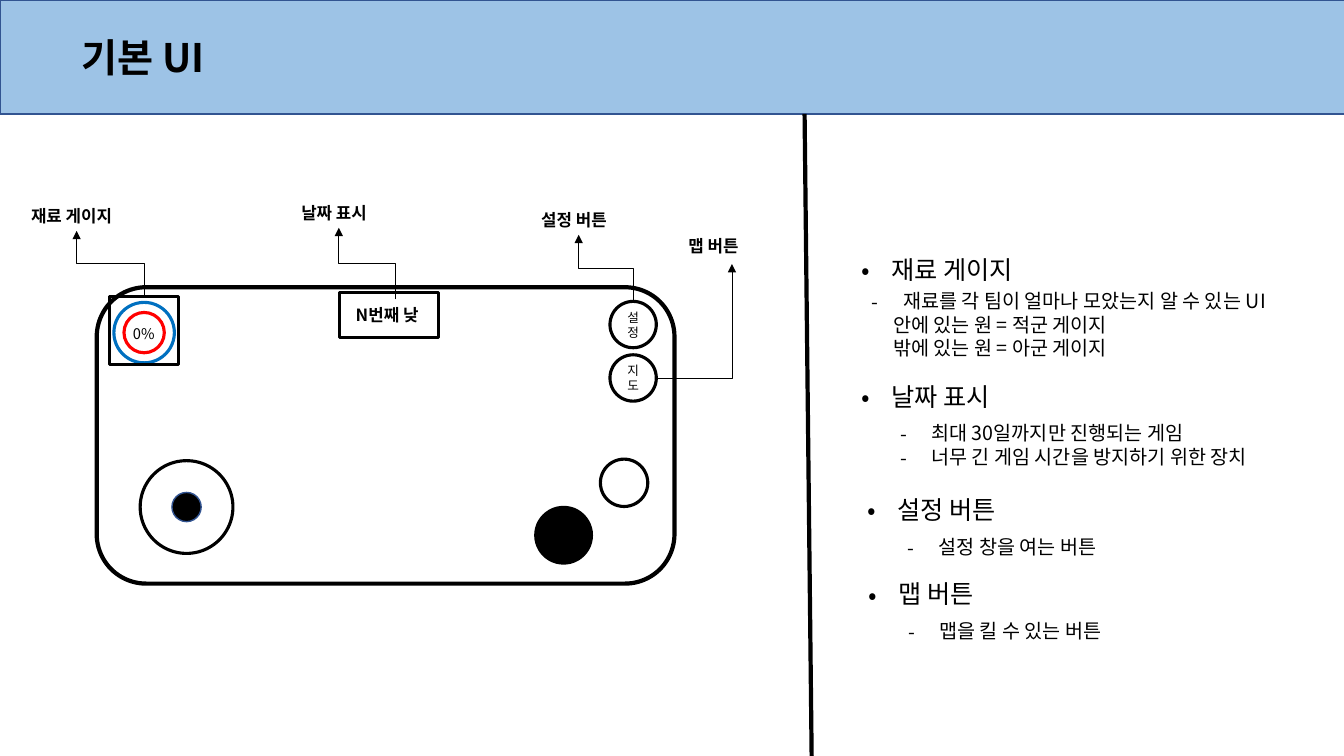
from lxml import etree
from pptx import Presentation
from pptx.dml.color import RGBColor
from pptx.enum.shapes import MSO_CONNECTOR, MSO_SHAPE
from pptx.enum.text import MSO_ANCHOR, MSO_AUTO_SIZE, PP_ALIGN
from pptx.oxml.ns import qn
from pptx.util import Inches, Pt

BLACK = RGBColor(0x00, 0x00, 0x00)
WHITE = RGBColor(0xFF, 0xFF, 0xFF)
SKY = RGBColor(0x9D, 0xC3, 0xE6)
NAVY = RGBColor(0x32, 0x54, 0x91)
BLUE = RGBColor(0x00, 0x70, 0xC0)
RED = RGBColor(0xFF, 0x00, 0x00)
FONT = "Noto Sans CJK KR"

RECTANGLE, ROUNDED, OVAL = MSO_SHAPE.RECTANGLE, MSO_SHAPE.ROUNDED_RECTANGLE, MSO_SHAPE.OVAL
STRAIGHT, ELBOW = MSO_CONNECTOR.STRAIGHT, MSO_CONNECTOR.ELBOW
LEFT, CENTER = PP_ALIGN.LEFT, PP_ALIGN.CENTER
MIDDLE, TOP = MSO_ANCHOR.MIDDLE, MSO_ANCHOR.TOP
FIT_SHAPE = MSO_AUTO_SIZE.SHAPE_TO_FIT_TEXT

# Every length is counted in cells of a square grid; boxes are left, top, width, height
CELL = Inches(0.1)
HEADER = (0, 0, 133.33, 11.3)
SCREEN = (0, 11.3, 80.5, 63.7)
NOTES = (84.5, 11.3, 48.8, 63.7)

# Label, its left, top and width, then arrow start and end
CALLOUTS = [
    ("재료 게이지", (2.1, 8.6, 11), (14.3, 18.1), (7.6, 11.6)),
    ("날짜 표시", (28.9, 8.3, 9.3), (39.2, 18.4), (33.6, 11.3)),
    ("설정 버튼", (52.7, 9, 9.3), (62.8, 18.6), (57.4, 12)),
    ("맵 버튼", (67.3, 11.6, 7.7), (65.1, 26.2), (72.6, 14.9)),
]
# Heading with its place, then dashed lines, plain lines and their place
TOPICS = [
    ("재료 게이지", (0, 13.4, 18.4, 4), ["재료를 각 팀이 얼마나 모았는지 알 수 있는 UI"],
     ["안에 있는 원 = 적군 게이지", "밖에 있는 원 = 아군 게이지"], (1, 16.9, 45.9, 8.1)),
    ("날짜 표시", (0, 26, 15.9, 4),
     ["최대 30일까지만 진행되는 게임", "너무 긴 게임 시간을 방지하기 위한 장치"], [], (3.8, 30, 40.7, 5.7)),
    ("설정 버튼", (0.6, 37.2, 15.9, 4), ["설정 창을 여는 버튼"], [], (4.5, 41.3, 22.9, 3.4)),
    ("맵 버튼", (0.7, 45.6, 13.4, 4), ["맵을 킬 수 있는 버튼"], [], (4.6, 49.6, 23.6, 3.4)),
]


def cells(*counts):
    return [round(count * CELL) for count in counts]


def within(region, box):
    return (region[0] + box[0], region[1] + box[1], *box[2:])


def format_text(text_frame, size, bold=False, alignment=LEFT):
    for paragraph in text_frame.paragraphs:
        paragraph.alignment = alignment
        for run in paragraph.runs:
            run.font.size = Pt(size)
            run.font.bold = bold
            run.font.color.rgb = BLACK
            run.font.name = FONT
            properties = run.font._element
            etree.SubElement(properties, qn("a:ea")).set("typeface", FONT)


def set_indent(paragraph, margin, bullet=None):
    properties = paragraph._p.get_or_add_pPr()
    properties.set("marL", str(Inches(margin)))
    if bullet:
        properties.set("indent", str(-Inches(margin)))
        etree.SubElement(properties, qn("a:buFont")).set("typeface", FONT)
        etree.SubElement(properties, qn("a:buChar")).set("char", bullet)


def add_outline(slide, kind, box, line, width, fill=None):
    shape = slide.shapes.add_shape(kind, *cells(*box))
    shape.shadow.inherit = False
    if fill is None:
        shape.fill.background()
    else:
        shape.fill.solid()
        shape.fill.fore_color.rgb = fill
    shape.line.color.rgb = line
    shape.line.width = Pt(width)
    return shape


def add_circle(slide, region, center, diameter, line=BLACK, width=2.25, fill=None, text=None):
    corner = [middle - diameter / 2 for middle in center]
    circle = add_outline(slide, OVAL, within(region, (*corner, diameter, diameter)), line, width, fill)
    if text:
        circle.text_frame.word_wrap = True
        circle.text_frame.vertical_anchor = MIDDLE
        circle.text_frame.text = text
        format_text(circle.text_frame, 9, alignment=CENTER)


def add_text(slide, box, lines, size, bold=False, wrap=False, bullet=None, plain_lines=()):
    text_frame = slide.shapes.add_textbox(*cells(*box)).text_frame
    text_frame.word_wrap = wrap
    text_frame.auto_size = FIT_SHAPE
    text_frame.text = "\n".join([*lines, *plain_lines])
    if bullet:
        for index, paragraph in enumerate(text_frame.paragraphs):
            if index < len(lines):
                set_indent(paragraph, 0.29 if bullet == "•" else 0.31, bullet)
            else:
                set_indent(paragraph, 0.21)
    format_text(text_frame, size, bold)


def add_line(slide, kind, start, end, width):
    connector = slide.shapes.add_connector(kind, *cells(*start, *end))
    connector.line.color.rgb = BLACK
    connector.line.width = Pt(width)
    etree.SubElement(connector._element.spPr, qn("a:effectLst"))
    return connector


def add_arrow(slide, start, end):
    (start_x, start_y), (end_x, end_y) = start, end
    if end_x > start_x:
        # One corner: across, then up
        arrow = add_line(slide, ELBOW, start, end, 0.5)
        arrow._element.spPr.find(qn("a:prstGeom")).set("prst", "bentConnector2")
    else:
        # Two corners: a quarter turn makes the first leg go up
        center_x, center_y = (start_x + end_x) / 2, (start_y + end_y) / 2
        half_rise, half_run = (start_y - end_y) / 2, (start_x - end_x) / 2
        arrow = add_line(slide, ELBOW, (center_x - half_rise, center_y + half_run),
                         (center_x + half_rise, center_y - half_run), 0.5)
        arrow._element.spPr.find(qn("a:xfrm")).set("rot", str(270 * 60000))
    line = arrow._element.spPr.find(qn("a:ln"))
    etree.SubElement(line, qn("a:tailEnd")).set("type", "triangle")


def build_header(slide, region):
    band = add_outline(slide, RECTANGLE, region, NAVY, 1, SKY)
    title = slide.shapes.title
    band._element.addnext(title._element)
    title.left, title.top, title.width, title.height = cells(*within(region, (7.1, 2.8, 46.3, 5.7)))
    title.text_frame.text = "기본 UI"
    title.text_frame.word_wrap = True
    title.text_frame.auto_size = FIT_SHAPE
    title.text_frame.vertical_anchor = TOP
    format_text(title.text_frame, 28, bold=True)


def build_screen(slide, region):
    # Divider and phone
    add_line(slide, STRAIGHT, within(region, (79.8, 0)), within(region, (80.5, 63.7)), 3)
    add_outline(slide, ROUNDED, within(region, (9.6, 17.2, 57.3, 29.4)), BLACK, 3, WHITE)
    # Joystick and action buttons
    joystick = (18.5, 39)
    add_circle(slide, region, joystick, 9.2)
    add_circle(slide, region, joystick, 2.9, NAVY, 1, BLACK)
    add_circle(slide, region, (61.9, 36.6), 4.7)
    add_circle(slide, region, (55.9, 41.8), 5.7, BLACK, 1, BLACK)
    # Material gauge
    gauge = (14.3, 21.7)
    add_circle(slide, region, gauge, 6, BLUE)
    add_text(slide, within(region, (12.2, 20.4, 4.2, 2.9)), ["0%"], 10.5, wrap=True)
    add_circle(slide, region, gauge, 4, RED)
    add_outline(slide, RECTANGLE, within(region, (10.9, 18.1, 6.8, 6.8)), BLACK, 2.25)
    # Date display
    add_text(slide, within(region, (34.3, 18.4, 9.8, 3)), ["N번째 낮"], 12, bold=True, wrap=True)
    add_outline(slide, RECTANGLE, within(region, (33.7, 17.7, 9.8, 4.5)), BLACK, 2.25)
    # Map and settings buttons
    for text, center_y in (("지도", 26.2), ("설정", 20.9)):
        add_circle(slide, region, (62.8, center_y), 4.6, fill=WHITE, text=text)
    # Callouts
    for label, place, start, end in CALLOUTS:
        add_arrow(slide, within(region, start), within(region, end))
        add_text(slide, within(region, (*place, 3)), [label], 12, bold=True)


def build_notes(slide, region):
    for heading, heading_box, dashed, plain, detail_box in TOPICS:
        add_text(slide, within(region, heading_box), [heading], 18, bullet="•")
        add_text(slide, within(region, detail_box), dashed, 14, bullet="-", plain_lines=plain)


def main():
    presentation = Presentation()
    presentation.slide_width, presentation.slide_height = Inches(13.33), Inches(7.5)
    slide = presentation.slides.add_slide(presentation.slide_layouts.get_by_name("Title Only"))
    build_header(slide, HEADER)
    build_screen(slide, SCREEN)
    build_notes(slide, NOTES)
    presentation.save("out.pptx")


if __name__ == "__main__":
    main()
